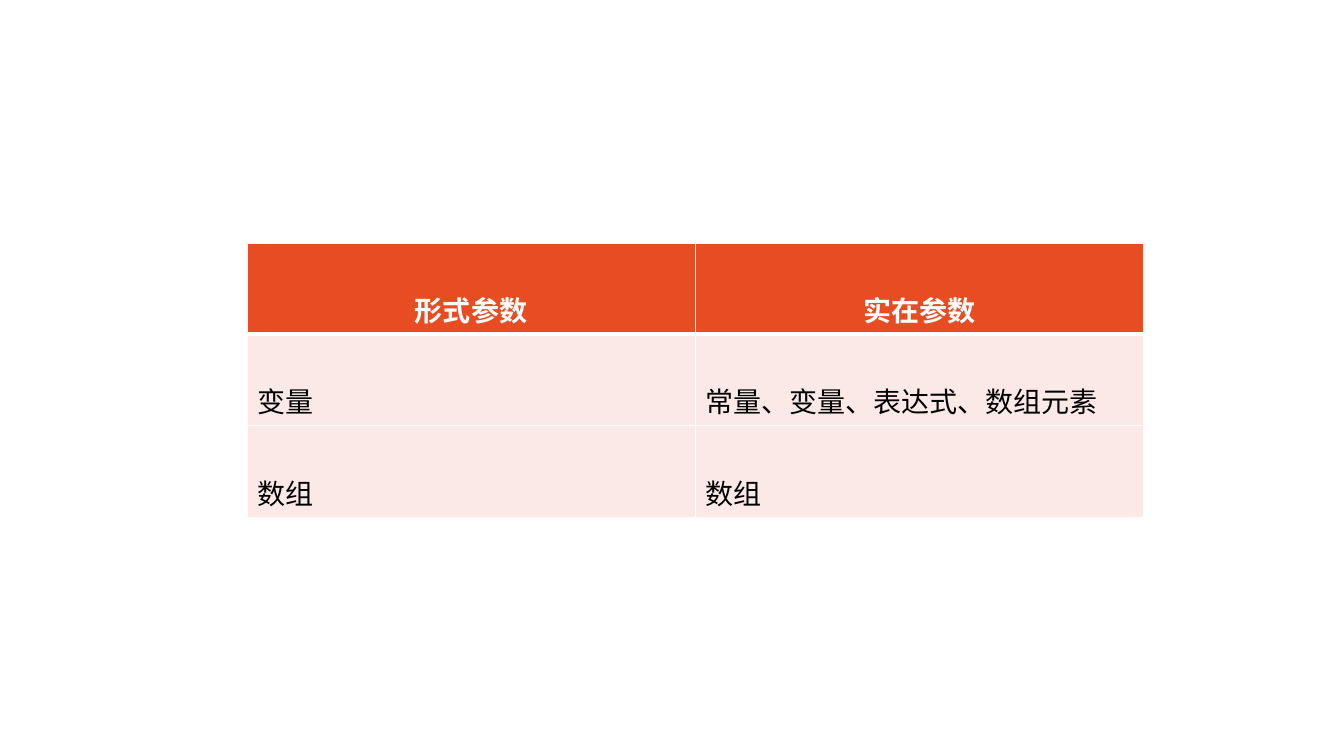
from lxml import etree
from pptx import Presentation
from pptx import util as u
from pptx.dml.color import RGBColor
from pptx.enum import text
from pptx.oxml import ns

ORANGE = RGBColor(0xE8, 0x4C, 0x22)
BLUSH = RGBColor(0xFB, 0xE9, 0xE8)
WHITE = RGBColor(0xFF, 0xFF, 0xFF)
BLACK = RGBColor(0, 0, 0)

PARAMETERS = [
    ("形式参数", "实在参数"),
    ("变量", "常量、变量、表达式、数组元素"),
    ("数组", "数组"),
]


def add_border(cell, side, points):
    """Draw one white cell edge; sides are L, R, T, B in that order."""
    edge = etree.SubElement(cell._tc.get_or_add_tcPr(), ns.qn(f"a:ln{side}"), w=str(u.Pt(points)))
    fill = etree.SubElement(edge, ns.qn("a:solidFill"))
    etree.SubElement(fill, ns.qn("a:srgbClr"), val=str(WHITE))


# Slide
deck = Presentation()
deck.slide_width, deck.slide_height = u.Inches(13.33), u.Inches(7.5)
slide = deck.slides.add_slide(deck.slide_layouts[6])

# Table grid: rows grow to fit the double-spaced text
column_width, row_height = u.Inches(4.445), u.Inches(0.41)
frame = slide.shapes.add_table(
    len(PARAMETERS), 2, u.Inches(2.45), u.Inches(2.41), 2 * column_width, u.Inches(2.3))
comparison = frame.table
comparison.horz_banding = False
for row in comparison.rows:
    row.height = row_height
frame.height = u.Inches(2.3)

# Cells: orange header, pale body
for row_index, entries in enumerate(PARAMETERS):
    is_header = row_index == 0
    for column_index, entry in enumerate(entries):
        cell = comparison.cell(row_index, column_index)
        for side in "LRTB":
            header_rule = (row_index, side) in [(0, "B"), (1, "T")]
            add_border(cell, side, 3 if header_rule else 1)
        cell.fill.solid()
        cell.fill.fore_color.rgb = ORANGE if is_header else BLUSH
        cell.vertical_anchor = text.MSO_ANCHOR.MIDDLE

        cell.text_frame.text = entry
        paragraph = cell.text_frame.paragraphs[0]
        paragraph.line_spacing = 2.0
        paragraph.alignment = text.PP_ALIGN.CENTER if is_header else text.PP_ALIGN.LEFT
        font = paragraph.runs[0].font
        font.name, font.size, font.bold = "Arial", u.Pt(20), is_header
        font.color.rgb = WHITE if is_header else BLACK

deck.save("out.pptx")
